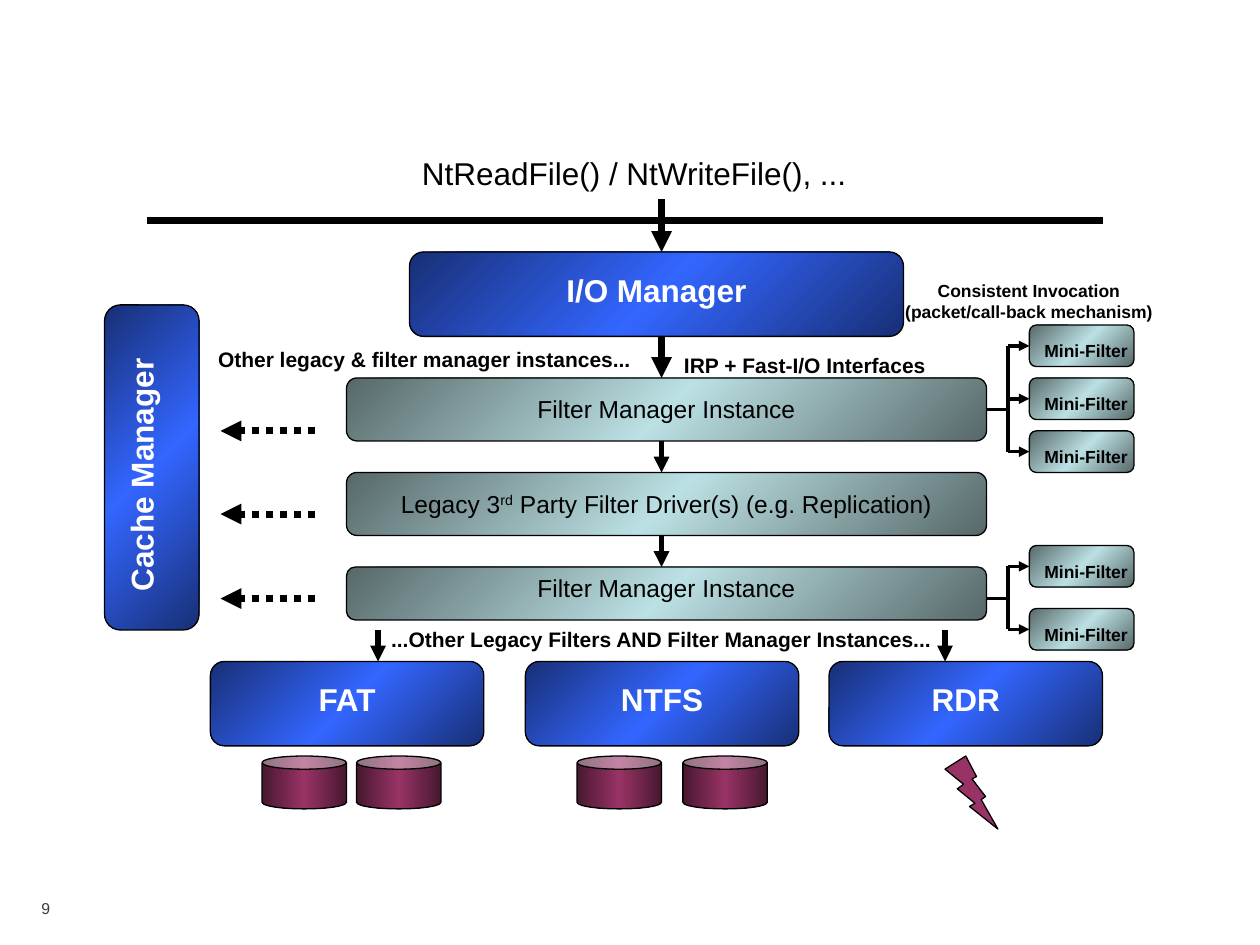
from copy import deepcopy

from lxml.etree import SubElement
from pptx import Presentation
from pptx.dml.color import RGBColor
from pptx.enum.dml import MSO_LINE_DASH_STYLE as DASH
from pptx.enum.shapes import MSO_CONNECTOR, MSO_SHAPE as SHAPE
from pptx.enum.text import MSO_ANCHOR, PP_ALIGN as ALIGN
from pptx.oxml.ns import qn
from pptx.util import Inches, Pt

FONT = "Arial"
COLORS = {
    "black": "000000",
    "white": "FFFFFF",
    "number": "383D42",
    "blue": "3366FF",
    "blue_edge": "182F76",
    "teal": "BBE0E3",
    "teal_edge": "576869",
    "plum": "993366",
    "plum_edge": "47182F",
}
FLOW_X = 5.25
MINI_LEFT, MINI_WIDTH, MINI_HEIGHT = 8.17, 0.83, 0.33
SPINE_X = 8


def rgb(name):
    return RGBColor.from_string(COLORS[name])


def add_block(page, kind, left, top, width, height, color):
    shape = page.shapes.add_shape(
        kind, Inches(left), Inches(top), Inches(width), Inches(height))
    shape.shadow.inherit = False
    shape.line.color.rgb = rgb("black")
    shape.line.width = Pt(0.75)
    shape.fill.solid()
    shape.fill.fore_color.rgb = rgb(color)
    return shape


def add_shaded(page, kind, left, top, width, height, color, angle=315):
    shape = add_block(page, kind, left, top, width, height, color)
    shape.fill.gradient()
    shape.fill.gradient_angle = angle
    stop_list = shape._element.spPr.find(".//" + qn("a:gsLst"))
    stop_list.insert(1, deepcopy(stop_list[0]))
    edge = color + "_edge"
    for index, name in enumerate((edge, color, edge)):
        stop = shape.fill.gradient_stops[index]
        stop.color.rgb = rgb(name)
        stop.position = index / 2
    return shape


def add_rounded(page, left, top, width, height, color):
    return add_shaded(
        page, SHAPE.ROUNDED_RECTANGLE, left, top, width, height, color)


def add_label(page, text, left, top, width, height, size,
              bold=True, color="black", align=ALIGN.CENTER):
    box = page.shapes.add_textbox(
        Inches(left), Inches(top), Inches(width), Inches(height))
    frame = box.text_frame
    frame.word_wrap = True
    frame.text = text
    para = frame.paragraphs[0]
    para.alignment = align
    para.space_before = Pt(round(size * 0.625, 1))
    style_span(para.runs[0], size, bold, color)
    return box


def style_span(span, size, bold=False, color="black"):
    span.font.name = FONT
    span.font.size = Pt(size)
    span.font.bold = bold
    span.font.color.rgb = rgb(color)


def add_line(page, start, end, width, arrow=False, dash=None):
    line = page.shapes.add_connector(
        MSO_CONNECTOR.STRAIGHT, *[Inches(value) for value in (*start, *end)])
    line.line.color.rgb = rgb("black")
    line.line.width = Pt(width)
    if dash:
        line.line.dash_style = dash
    if arrow:
        SubElement(line.line._get_or_add_ln(), qn("a:tailEnd"), type="triangle")
    SubElement(line._element.spPr, qn("a:effectLst"))
    return line


def add_down_arrow(page, x, top, bottom, width):
    add_line(page, (x, top), (x, bottom), width, arrow=True)


def add_mini_filters(page, tops, feed_y):
    centers = [top + MINI_HEIGHT / 2 for top in tops]
    for top, center in zip(tops, centers):
        mini = add_rounded(page, MINI_LEFT, top, MINI_WIDTH, MINI_HEIGHT, "teal")
        add_label(page, "Mini-Filter", 8.08, top + 0.07, 1.08, 0.27, 10)
        arrow = add_line(
            page, (SPINE_X, center), (MINI_LEFT, center), 2, arrow=True)
        arrow.end_connect(mini, 1)
    add_line(page, (SPINE_X, centers[0]), (SPINE_X, centers[-1]), 2)
    return add_line(page, (7.83, feed_y), (SPINE_X, feed_y), 2)


def add_managers(page):
    add_rounded(page, 3.25, 2, 3.92, 0.67, "blue")
    add_label(page, "I/O Manager", 3.67, 2.1, 3.08, 0.4, 18, color="white")
    add_rounded(page, 0.83, 2.42, 0.75, 2.58, "blue")
    cache = add_label(
        page, "Cache Manager", 0.92, 2.67, 0.5, 2.2, 18, color="white")
    body = cache.text_frame._txBody.bodyPr
    body.set("vert", "vert270")
    cache.text_frame.margin_left = cache.text_frame.margin_right = Inches(0.05)


def add_filter_stack(page):
    first = add_rounded(page, 2.75, 3, 5.08, 0.5, "teal")
    add_rounded(page, 2.75, 3.75, 5.08, 0.5, "teal")
    add_rounded(page, 2.75, 4.5, 5.08, 0.42, "teal")
    for top in (3.08, 4.5):
        add_label(page, "Filter Manager Instance",
                  3.08, top, 4.42, 0.34, 14, bold=False)
    legacy = add_label(page, "Legacy 3", 3.08, 3.83, 4.42, 0.34, 14, bold=False)
    para = legacy.text_frame.paragraphs[0]
    for text in ("rd", " Party Filter Driver(s) (e.g. Replication)"):
        span = para.add_run()
        span.text = text
        style_span(span, 14)
    para.runs[1].font._element.set("baseline", "30000")

    for y in (3.42, 4.08, 4.75):
        add_line(page, (2.5, y), (1.75, y), 4, arrow=True, dash=DASH.ROUND_DOT)
    feed = add_mini_filters(page, (2.58, 3, 3.42), 3.25)
    feed.begin_connect(first, 3)
    add_mini_filters(page, (4.33, 4.83), 4.75)


def add_file_systems(page):
    systems = (("FAT", 1.67, 1.92), ("NTFS", 4.17, 4.42), ("RDR", 6.58, 6.83))
    for name, left, label_left in systems:
        add_rounded(page, left, 5.25, 2.17, 0.67, "blue")
        add_label(page, name, label_left, 5.35, 1.67, 0.4, 18, color="white")
    for left in (2.08, 2.83, 4.58, 5.42):
        add_shaded(page, SHAPE.CAN, left, 6, 0.67, 0.42, "plum", angle=0)
    add_block(page, SHAPE.LIGHTNING_BOLT, 7.5, 6, 0.42, 0.58, "plum")


def add_flow(page):
    add_line(page, (1.17, 1.75), (8.75, 1.75), 4)
    for top, bottom, width in (
            (1.58, 2, 4), (2.67, 3, 4), (3.5, 3.75, 3), (4.25, 4.5, 3)):
        add_down_arrow(page, FLOW_X, top, bottom, width)
    for x in (3, 7.5):
        add_down_arrow(page, x, 5, 5.25, 3)


def add_captions(page):
    add_label(page, "NtReadFile() / NtWriteFile(), ...",
              3.25, 1.17, 4.58, 0.4, 18, bold=False, align=ALIGN.LEFT)
    add_label(page, "IRP + Fast-I/O Interfaces",
              5.33, 2.75, 2.75, 0.3, 12, align=ALIGN.LEFT)
    add_label(page, "Other legacy & filter manager instances...",
              1.58, 2.7, 3.58, 0.3, 12)
    add_label(page, "...Other Legacy Filters AND Filter Manager Instances...",
              2.75, 4.92, 5, 0.3, 12)
    add_label(page, "Consistent Invocation (packet/call-back mechanism)",
              7, 2.17, 2.33, 0.44, 10)
    number = add_label(page, "9", 0.23, 7, 0.85, 0.42, 9,
                       bold=False, color="number", align=ALIGN.LEFT)
    number.text_frame.vertical_anchor = MSO_ANCHOR.MIDDLE


def main():
    deck = Presentation()
    deck.slide_width, deck.slide_height = Inches(10), Inches(7.5)
    page = deck.slides.add_slide(deck.slide_layouts[6])
    add_managers(page)
    add_filter_stack(page)
    add_file_systems(page)
    add_flow(page)
    add_captions(page)
    deck.save("out.pptx")


if __name__ == "__main__":
    main()
